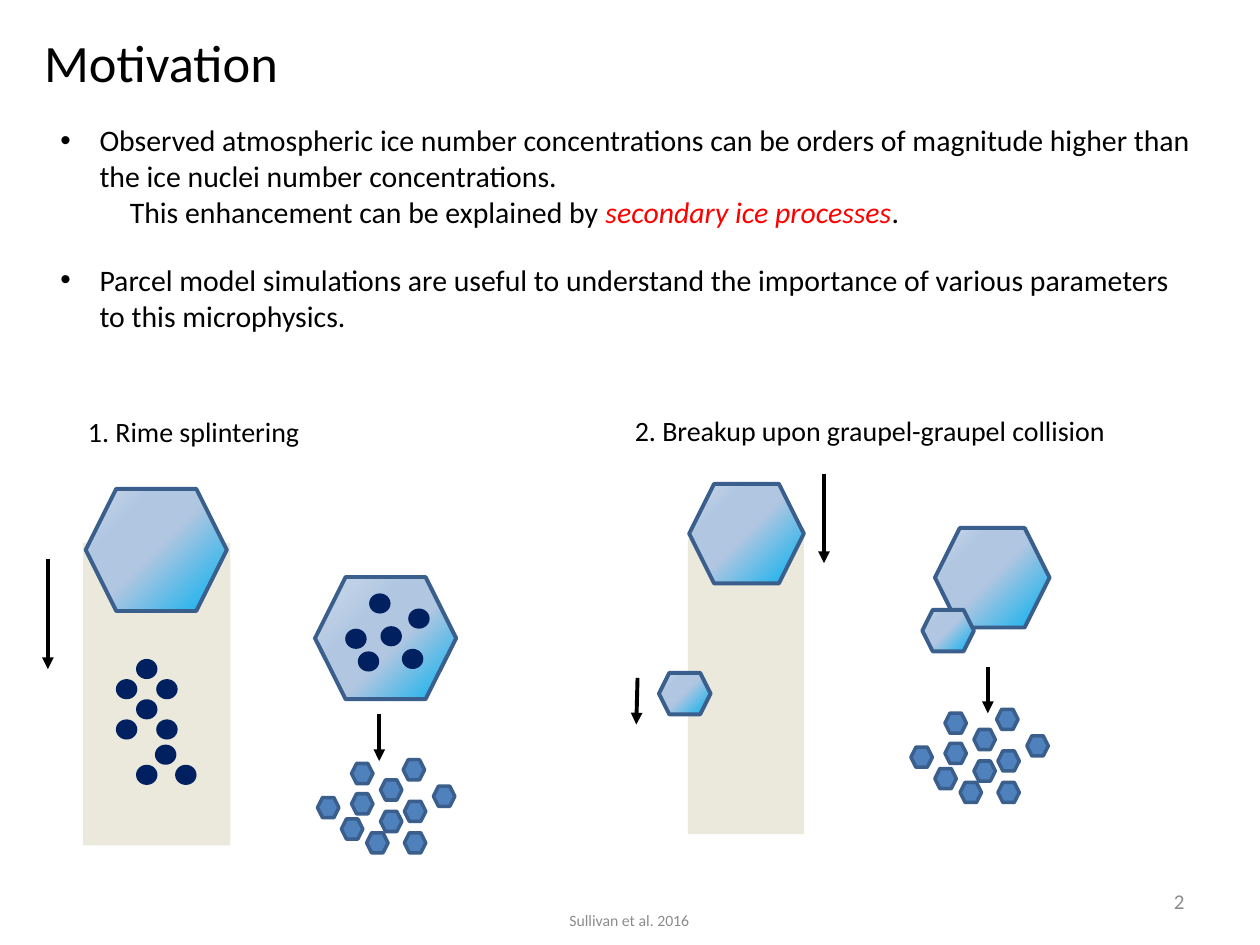
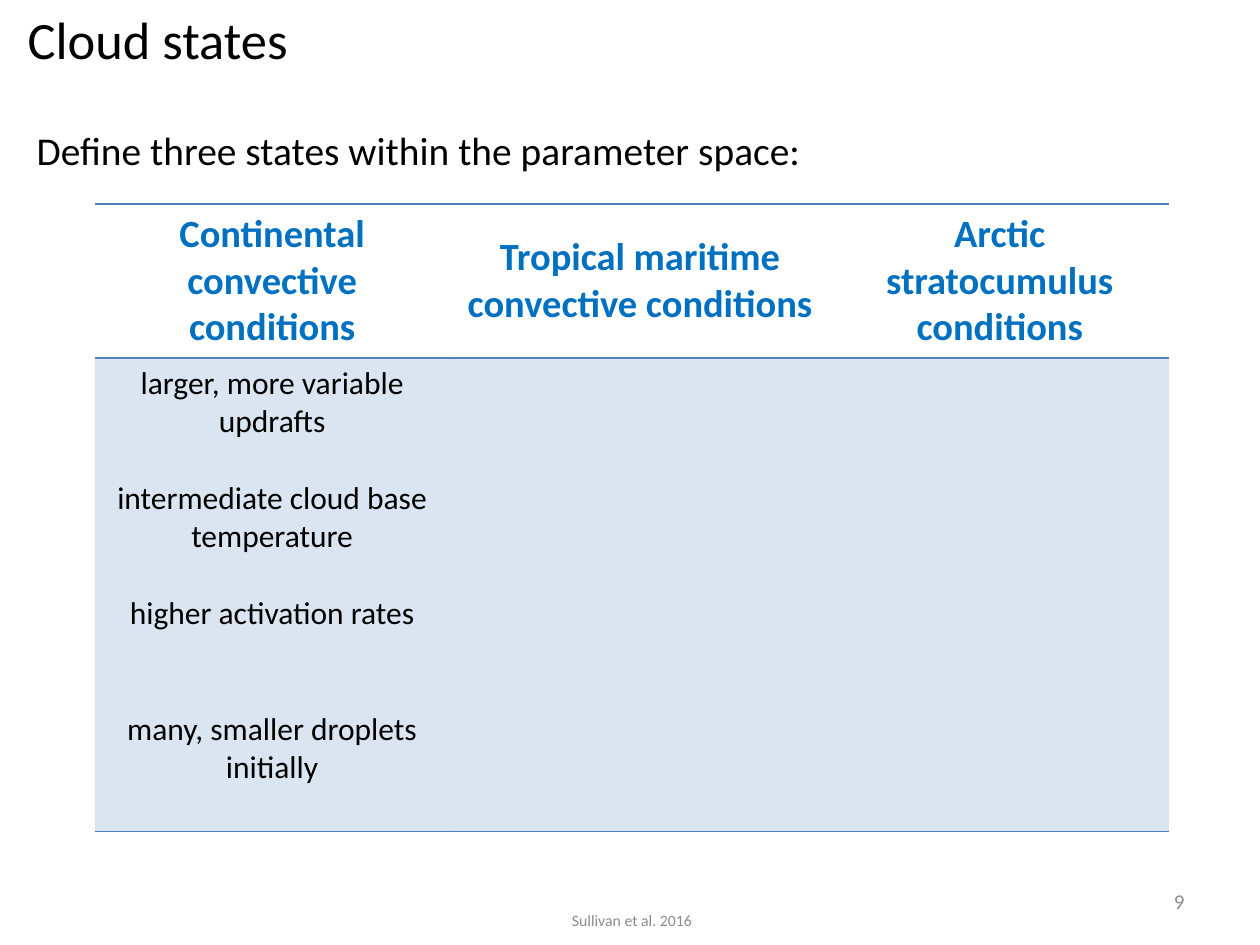
"""Build two slides on secondary ice processes and cloud states."""
from lxml.etree import SubElement
from pptx import Presentation
from pptx.dml.color import RGBColor
from pptx.enum.shapes import MSO_CONNECTOR, MSO_SHAPE as Preset
from pptx.enum.text import MSO_ANCHOR as Anchor, MSO_AUTO_SIZE, PP_ALIGN as Align
from pptx.oxml import parse_xml
from pptx.oxml.ns import nsdecls, qn
from pptx.util import Inches, Pt

FONT = "Calibri"
COLOURS = {
    "text": "000000", "muted": "8C8C8C", "emphasis": "FF0000", "heading": "0070C0",
    "droplet": "002060", "splinter": "4F81BD", "outline": "3A5F8C", "column": "DDD9C3",
    "ice_core": "00B0F0", "ice_mid": "B0C6E1", "ice_rim": "CAD9EB", "table": "4F81BD",
}
CITATION = "Sullivan et al. 2016"
NO_STYLE = "{2D5ABB26-0587-4C30-8999-92F81FD0307C}"

MOTIVATION = [
    {"runs": ["Observed atmospheric ice number concentrations can be orders of magnitude "
              "higher than the ice nuclei number concentrations."],
     "margin": 0.31, "indent": -0.31},
    {"runs": ["This enhancement can be explained by ",
              ("secondary ice processes", {"colour": "emphasis", "italic": True}), "."],
     "margin": 0.55, "indent": 0, "plain": True},
    {"runs": ["Parcel model simulations are useful to understand the importance of various "
              "parameters to this microphysics."],
     "margin": 0.31, "indent": -0.31, "before": 18.5},
]
PROCESSES = [
    ("1. Rime splintering", (0.6, 3.24, 2.3, 0.37)),
    ("2. Breakup upon graupel-graupel collision", (4.94, 3.23, 4.26, 0.37)),
]
FALL_COLUMNS = [(0.66, 4.31, 1.17, 2.4), (5.46, 4.28, 0.92, 2.34)]
RIMER, GRAUPEL, SMALL_GRAUPEL = (1.12, 0.97), (0.91, 0.79), (0.41, 0.33)
WIDE_CORE, NARROW_CORE = (50, 73), (43, 63)
CRYSTALS = [
    (0.68, 3.88, RIMER, WIDE_CORE), (2.5, 4.58, RIMER, NARROW_CORE),
    (5.47, 3.84, GRAUPEL, WIDE_CORE), (5.23, 5.34, SMALL_GRAUPEL, WIDE_CORE),
    (7.42, 4.19, GRAUPEL, WIDE_CORE), (7.32, 4.84, SMALL_GRAUPEL, WIDE_CORE),
]
PARTICLE = (0.17, 0.16)
DROPLETS = [
    (1.08, 5.23), (1.24, 5.39), (0.92, 5.39), (1.08, 5.55), (1.24, 5.71),
    (0.92, 5.71), (1.23, 5.91), (1.39, 6.07), (1.08, 6.07),
    (2.74, 4.99), (3.02, 4.97), (2.84, 5.17), (2.93, 4.71), (3.24, 4.83), (3.19, 5.15),
]
SPLINTER_ORIGINS = [(2.52, 6.03), (7.23, 5.63)]
SPLINTER_OFFSETS = [
    (0.27, 0.03), (0.27, 0.27), (0.5, 0.16), (0.5, 0.41), (0.19, 0.47), (0.69, 0.33),
    (0.39, 0.58), (0, 0.3), (0.69, 0.58), (0.68, 0), (0.92, 0.21),
]
ARROWS = [
    (0.38, 4.44, 0.38, 5.31), (6.54, 3.76, 6.54, 4.47), (5.06, 5.38, 5.05, 5.75),
    (7.84, 5.29, 7.84, 5.66), (3.01, 5.67, 3.01, 6.04),
]

STATES_INTRO = "Define three states within the parameter space:"
STATES = ["Continental convective conditions", "Tropical maritime convective conditions",
          "Arctic stratocumulus conditions"]
CONTINENTAL = [
    {"runs": ["larger, more variable updrafts"]},
    {"runs": ["intermediate cloud base temperature"], "before": 22},
    {"runs": ["higher activation rates"], "before": 22},
    {"runs": ["many, smaller droplets initially"], "before": 44},
]
STATE_WIDTHS, STATE_HEIGHTS = (2.82, 3.02, 2.69), (1.22, 3.76)


def rgb(name):
    return RGBColor.from_string(COLOURS[name])


def box(bounds):
    return [Inches(length) for length in bounds]


def write(frame, text, size=18, colour="text", bold=False, align=Align.LEFT):
    """Fill a text frame with a string or a list of paragraph dicts."""
    lines = [{"runs": [text]}] if isinstance(text, str) else text
    for number, line in enumerate(lines):
        paragraph = frame.paragraphs[0] if number == 0 else frame.add_paragraph()
        paragraph.alignment = align
        paragraph.space_before = Pt(line.get("before", 0))
        properties = paragraph._p.get_or_add_pPr()
        if "margin" in line:
            properties.set("marL", str(Inches(line["margin"])))
            properties.set("indent", str(Inches(line["indent"])))
        if line.get("plain"):
            SubElement(properties, qn("a:buNone"))
        for part in line["runs"]:
            words, accent = (part, {}) if isinstance(part, str) else part
            run = paragraph.add_run()
            run.text = words
            run.font.name, run.font.size, run.font.bold = FONT, Pt(size), bold
            run.font.italic = accent.get("italic", False)
            run.font.color.rgb = rgb(accent.get("colour", colour))


def place(holder, bounds, text, anchor=Anchor.MIDDLE, **style):
    holder.left, holder.top, holder.width, holder.height = box(bounds)
    frame = holder.text_frame
    frame.word_wrap, frame.auto_size = True, MSO_AUTO_SIZE.NONE
    frame.vertical_anchor = anchor
    write(frame, text, **style)


def add_text(slide, bounds, text, **style):
    place(slide.shapes.add_textbox(*box(bounds)), bounds, text, **style)


def fade(element, percent):
    colour = element.find(f".//{qn('a:solidFill')}/{qn('a:srgbClr')}")
    SubElement(colour, qn("a:alpha")).set("val", str(percent * 1000))


def add_preset(slide, preset, bounds, fill, outline=None, weight=2):
    shape = slide.shapes.add_shape(preset, *box(bounds))
    shape.shadow.inherit = False
    shape.fill.solid()
    shape.fill.fore_color.rgb = rgb(fill)
    if outline:
        shape.line.color.rgb, shape.line.width = rgb(outline), Pt(weight)
    else:
        shape.line.fill.background()
    return shape


def add_crystal(slide, left, top, size, core):
    crystal = add_preset(slide, Preset.HEXAGON, (left, top, *size), "ice_mid", "outline", 2.25)
    stops = zip((0, *core, 100), ("ice_core", "ice_mid", "ice_mid", "ice_rim"))
    stop_list = "".join(f'<a:gs pos="{at * 1000}"><a:srgbClr val="{COLOURS[name]}"/></a:gs>'
                        for at, name in stops)
    gradient = parse_xml(
        f'<a:gradFill {nsdecls("a")} rotWithShape="1"><a:gsLst>{stop_list}</a:gsLst>'
        '<a:path path="circle"><a:fillToRect l="100000" t="100000"/></a:path></a:gradFill>')
    properties = crystal._element.spPr
    properties.replace(properties.find(qn("a:solidFill")), gradient)


def add_arrow(slide, ends):
    arrow = slide.shapes.add_connector(MSO_CONNECTOR.STRAIGHT, *box(ends))
    arrow.line.color.rgb, arrow.line.width = rgb("text"), Pt(2.25)
    properties = arrow._element.spPr
    SubElement(properties.find(qn("a:ln")), qn("a:tailEnd")).set("type", "triangle")
    SubElement(properties, qn("a:effectLst"))


def add_border(cell, side):
    border = parse_xml(
        f'<a:{side} {nsdecls("a")} w="{Pt(1)}"><a:solidFill>'
        f'<a:srgbClr val="{COLOURS["table"]}"/></a:solidFill></a:{side}>')
    cell._tc.get_or_add_tcPr().insert(0, border)


def start_slide(deck, title, title_bounds, page, citation_left):
    slide = deck.slides.add_slide(deck.slide_layouts[1])
    place(slide.shapes.title, title_bounds, title, size=30)
    add_text(slide, (citation_left, 7.1, 3.17, 0.4), CITATION,
             size=9, colour="muted", align=Align.CENTER)
    add_text(slide, (7.17, 6.95, 2.33, 0.4), page, size=12, colour="muted", align=Align.RIGHT)
    return slide


def build_motivation(deck):
    slide = start_slide(deck, "Motivation", (0.25, 0.13, 2.49, 0.71), "2", 3.41)
    place(slide.placeholders[1], (0.38, 0.92, 9.21, 1.77), MOTIVATION,
          anchor=Anchor.TOP, size=17)
    for process, bounds in PROCESSES:
        add_text(slide, bounds, process, anchor=Anchor.TOP, size=16)
    for bounds in FALL_COLUMNS:
        fade(add_preset(slide, Preset.RECTANGLE, bounds, "column")._element.spPr, 58)
    for crystal in CRYSTALS:
        add_crystal(slide, *crystal)
    for spot in DROPLETS:
        add_preset(slide, Preset.OVAL, (*spot, *PARTICLE), "droplet")
    for ends in ARROWS:
        add_arrow(slide, ends)
    for left, top in SPLINTER_ORIGINS:
        for across, down in SPLINTER_OFFSETS:
            add_preset(slide, Preset.HEXAGON, (left + across, top + down, *PARTICLE),
                       "splinter", "outline")


def build_states(deck):
    slide = start_slide(deck, "Cloud states", (0.12, 0, 2.28, 0.61), "9", 3.43)
    intro = [{"runs": [STATES_INTRO], "margin": 0, "indent": 0, "plain": True}]
    place(slide.placeholders[1], (0.19, 0.99, 7.56, 0.39), intro, size=22.5)
    bounds = (0.75, 1.62, sum(STATE_WIDTHS), sum(STATE_HEIGHTS))
    table = slide.shapes.add_table(2, len(STATES), *box(bounds)).table
    table.first_row = table.horz_banding = False
    table._tbl.tblPr.find(qn("a:tableStyleId")).text = NO_STYLE
    for row, height in zip(table.rows, STATE_HEIGHTS):
        row.height = Inches(height)
    for number, (state, width) in enumerate(zip(STATES, STATE_WIDTHS)):
        table.columns[number].width = Inches(width)
        heading, traits = table.cell(0, number), table.cell(1, number)
        heading.vertical_anchor = Anchor.MIDDLE
        heading.fill.background()
        write(heading.text_frame, state, size=22, colour="heading", bold=True,
              align=Align.CENTER)
        traits.fill.solid()
        traits.fill.fore_color.rgb = rgb("table")
        fade(traits._tc, 20)
        for cell, side in ((heading, "lnB"), (heading, "lnT"), (traits, "lnB"), (traits, "lnT")):
            add_border(cell, side)
    write(table.cell(1, 0).text_frame, CONTINENTAL, align=Align.CENTER)


def main():
    deck = Presentation()
    deck.slide_width, deck.slide_height = Inches(10), Inches(7.5)
    build_motivation(deck)
    build_states(deck)
    deck.save("out.pptx")


if __name__ == "__main__":
    main()
